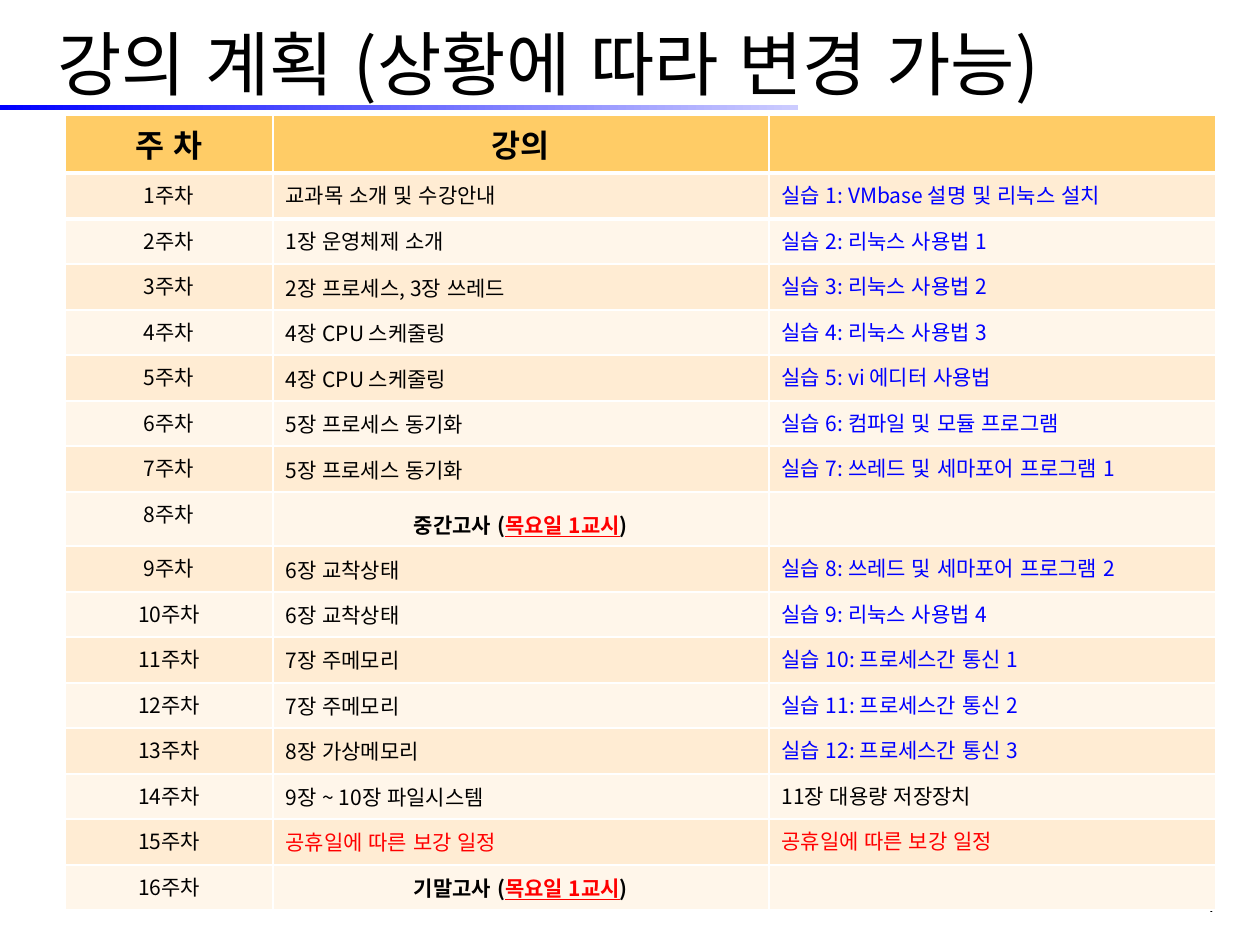
import pptx
import pptx.util
import pptx.dml.color
import pptx.enum.lang
import pptx.enum.shapes
import pptx.enum.text
import pptx.oxml
import pptx.oxml.ns

PX = 914400 // 126
KOR = "Noto Sans CJK KR"
BLACK, BLUE, RED = "000000", "0000FF", "FF0000"
LEFT = pptx.enum.text.PP_ALIGN.LEFT
MID = pptx.enum.text.PP_ALIGN.CENTER
RIGHT = pptx.enum.text.PP_ALIGN.RIGHT
ANCHOR = pptx.enum.text.MSO_ANCHOR

HEADS = ["주 차", "강의", ""]
COLS = [208, 496, 447]
EXAM = ["목요일 1교시", ")"]
MAKEUP = "공휴일에 따른 보강 일정"
WEEKS = [
    ("교과목 소개 및 수강안내", "실습 1: VMbase 설명 및 리눅스 설치"),
    ("1장 운영체제 소개", "실습 2: 리눅스 사용법 1"),
    ("2장 프로세스, 3장 쓰레드", "실습 3: 리눅스 사용법 2"),
    ("4장 CPU 스케줄링", "실습 4: 리눅스 사용법 3"),
    ("4장 CPU 스케줄링", "실습 5: vi 에디터 사용법"),
    ("5장 프로세스 동기화", "실습 6: 컴파일 및 모듈 프로그램"),
    ("5장 프로세스 동기화", "실습 7: 쓰레드 및 세마포어 프로그램 1"),
    ("중간고사 (", ""),
    ("6장 교착상태", "실습 8: 쓰레드 및 세마포어 프로그램 2"),
    ("6장 교착상태", "실습 9: 리눅스 사용법 4"),
    ("7장 주메모리", "실습 10: 프로세스간 통신 1"),
    ("7장 주메모리", "실습 11: 프로세스간 통신 2"),
    ("8장 가상메모리", "실습 12: 프로세스간 통신 3"),
    ("9장 ~ 10장 파일시스템", "11장 대용량 저장장치"),
    (MAKEUP, MAKEUP),
    ("기말고사 (", ""),
]


def px(num):
    return pptx.util.Emu(num * PX)


def color(code):
    return pptx.dml.color.RGBColor.from_string(code)


def style(para, size, hue=BLACK, align=LEFT, bold=False, face=KOR):
    para.alignment = align
    font = para.font
    font.size = pptx.util.Pt(size)
    font.bold = bold
    font.name = face
    font.color.rgb = color(hue)
    font.language_id = pptx.enum.lang.MSO_LANGUAGE_ID.KOREAN
    props = para._p.pPr.find(pptx.oxml.ns.qn("a:defRPr"))
    east = pptx.oxml.parse_xml(
        f'<a:ea {pptx.oxml.ns.nsdecls("a")} typeface="{face}"/>')
    props.find(pptx.oxml.ns.qn("a:latin")).addnext(east)


def add_text(slide, box, text, size, anchor=ANCHOR.TOP, **look):
    frame = slide.shapes.add_textbox(*map(px, box)).text_frame
    frame.word_wrap = True
    frame.vertical_anchor = anchor
    para = frame.paragraphs[0]
    para.text = text
    style(para, size, **look)


def add_bar(slide, box):
    bar = slide.shapes.add_shape(
        pptx.enum.shapes.MSO_SHAPE.RECTANGLE, *map(px, box))
    bar.shadow.inherit = False
    bar.line.fill.background()
    bar.fill.gradient()
    bar.fill.gradient_angle = 0
    for stop, hue in zip(bar.fill.gradient_stops, [BLUE, "CCCCFF"]):
        stop.color.rgb = color(hue)


def fill_cell(cell, back, text, size, **look):
    cell.fill.solid()
    cell.fill.fore_color.rgb = color(back)
    para = cell.text_frame.paragraphs[0]
    if text:
        para.text = text
    style(para, size, **look)
    return para


def add_edge(cell, side):
    line = pptx.oxml.parse_xml(
        f'<a:{side} {pptx.oxml.ns.nsdecls("a")} w="38100"><a:solidFill>'
        f'<a:srgbClr val="FFFFFF"/></a:solidFill></a:{side}>')
    cell._tc.get_or_add_tcPr().insert(0, line)


def add_exam(para):
    when, close = EXAM
    run = para.add_run()
    run.text = when
    run.font.underline = True
    run.font.color.rgb = color(RED)
    para.add_run().text = close


def fill_week(table, week, topic, lab):
    table.rows[week].height = px(54 if week == 8 else 45 + week % 2)
    back = "FFECD3" if week % 2 else "FFF6EA"
    exam = not lab
    hue = RED if topic == MAKEUP else BLACK
    fill_cell(table.cell(week, 0), back, f"{week}주차", 12, align=MID)
    cell = table.cell(week, 1)
    para = fill_cell(cell, back, topic, 12, hue=hue,
                     align=MID if exam else LEFT, bold=exam)
    if week > 2:
        cell.vertical_anchor = ANCHOR.MIDDLE
    if exam:
        add_exam(para)
    if week == 8:
        para.line_spacing = 1.35
    fill_cell(table.cell(week, 2), back, lab, 12,
              hue=BLUE if lab.startswith("실습") else hue)


def add_plan(slide):
    table = slide.shapes.add_table(
        len(WEEKS) + 1, len(COLS), px(65), px(115),
        px(sum(COLS)), px(795)).table
    for col, wide in zip(table.columns, COLS):
        col.width = px(wide)
    table.rows[0].height = px(58)
    for cell, head in zip(table.rows[0].cells, HEADS):
        fill_cell(cell, "FFCC66", head, 18, align=MID, bold=True)
        add_edge(cell, "lnB")
    for week, (topic, lab) in enumerate(WEEKS, 1):
        fill_week(table, week, topic, lab)
    for cell in table.rows[1].cells:
        add_edge(cell, "lnT")


def main():
    deck = pptx.Presentation()
    deck.slide_width, deck.slide_height = px(1260), px(945)
    slide = deck.slides.add_slide(deck.slide_layouts[6])
    add_bar(slide, (0, 105, 798, 5))
    add_text(slide, (1106, 882, 122, 42), "4", 14, align=RIGHT, face="Karla")
    add_text(slide, (45, 21, 1142, 84), "강의 계획 (상황에 따라 변경 가능)", 40,
             anchor=ANCHOR.MIDDLE)
    add_plan(slide)
    deck.save("out.pptx")


if __name__ == "__main__":
    main()
